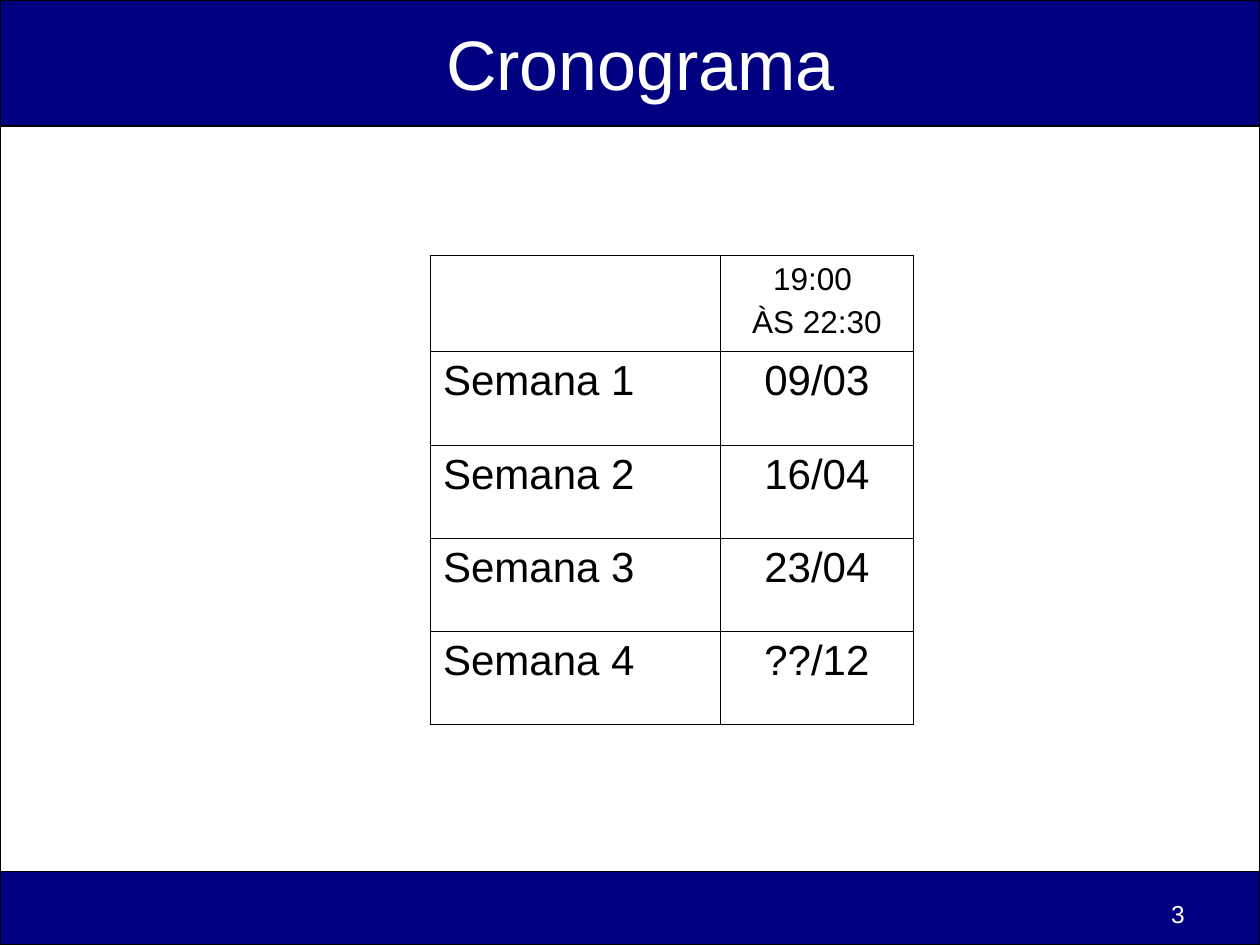
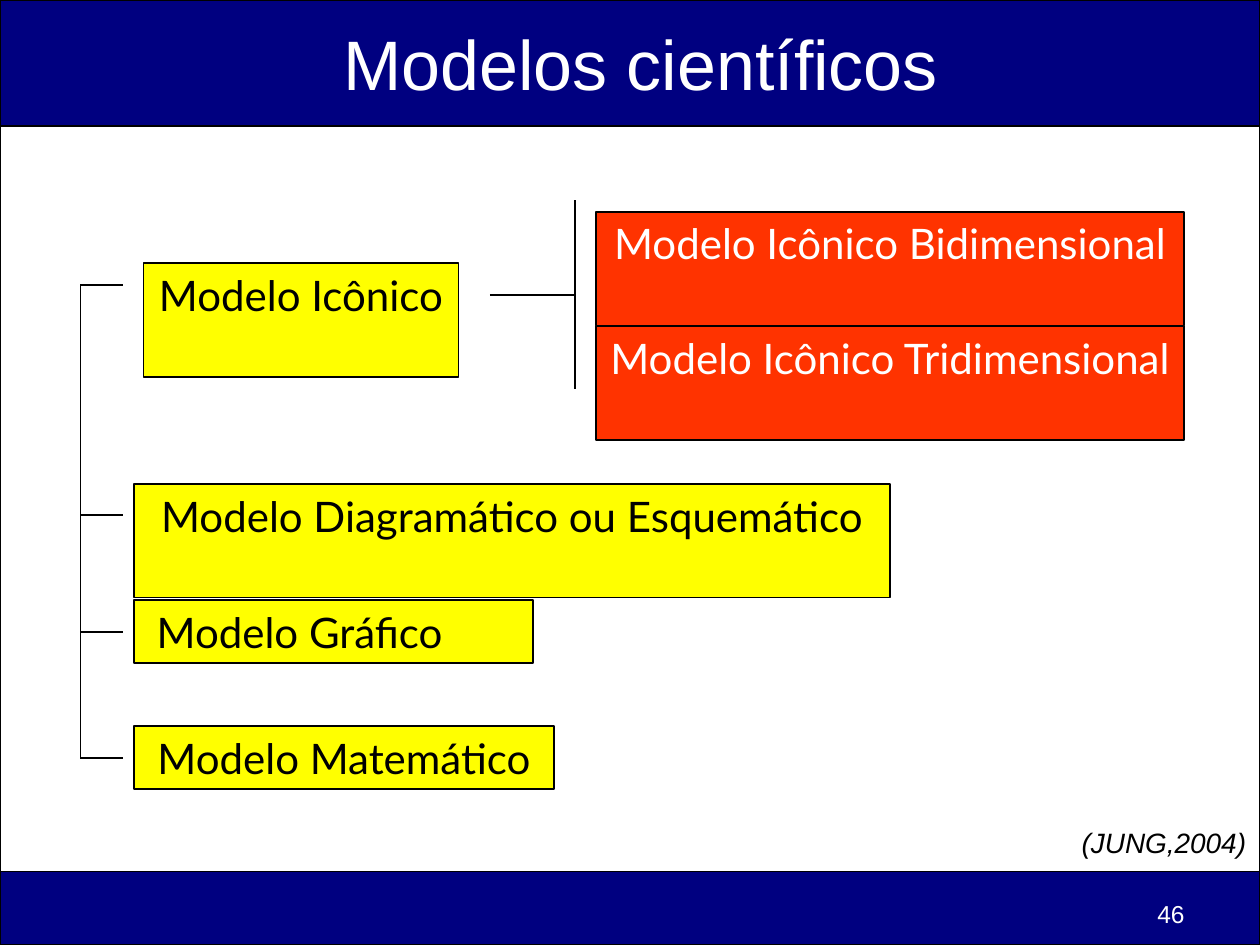
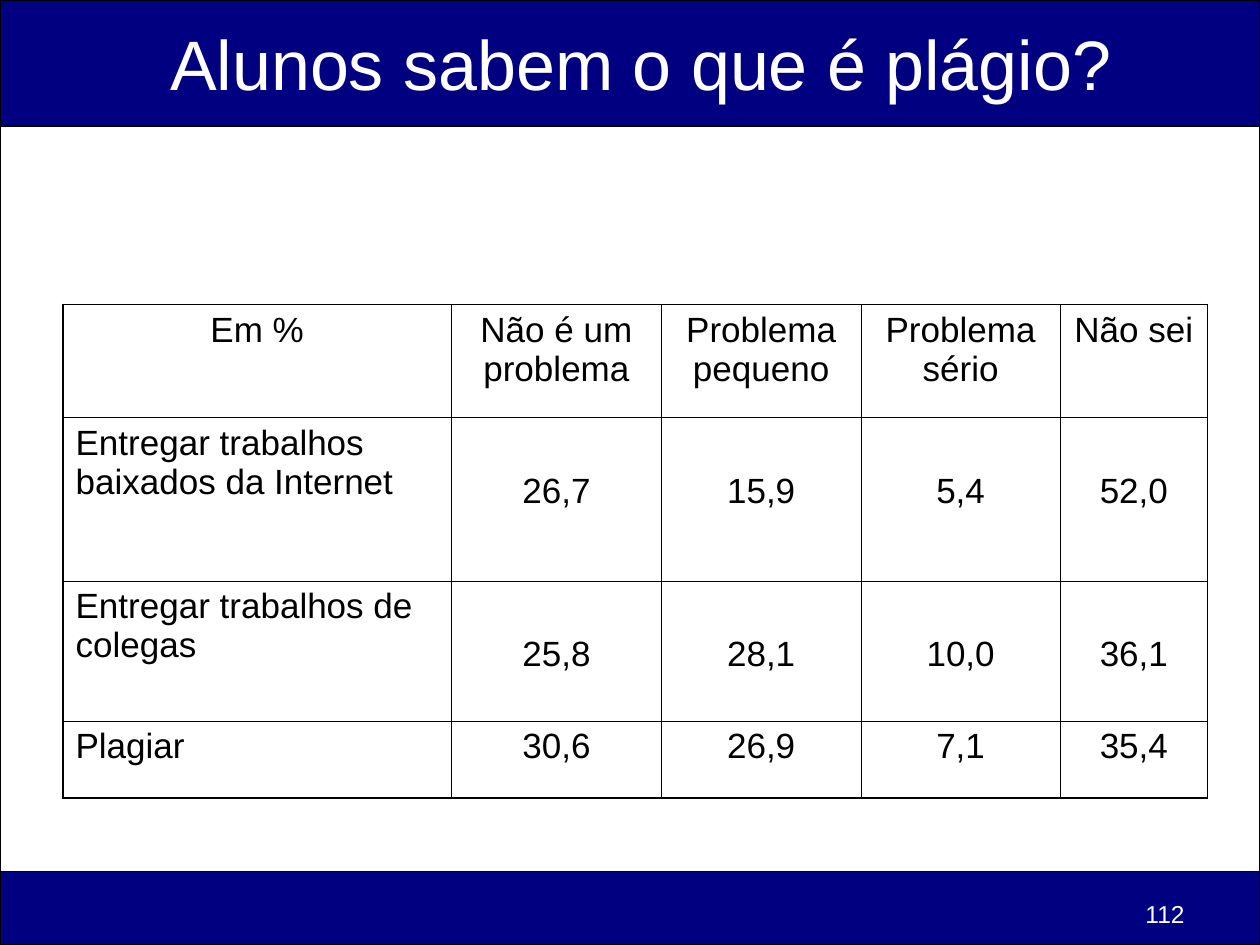
from collections import namedtuple

from lxml import etree
from pptx import Presentation
from pptx.dml.color import RGBColor
from pptx.enum.shapes import MSO_CONNECTOR, MSO_SHAPE
from pptx.enum.text import MSO_ANCHOR, MSO_AUTO_SIZE, PP_ALIGN
from pptx.oxml.ns import qn
from pptx.util import Pt

RECTANGLE = MSO_SHAPE.RECTANGLE
STRAIGHT = MSO_CONNECTOR.STRAIGHT
LEFT, CENTER, RIGHT = PP_ALIGN.LEFT, PP_ALIGN.CENTER, PP_ALIGN.RIGHT
TOP, MIDDLE = MSO_ANCHOR.TOP, MSO_ANCHOR.MIDDLE
FIT_SHAPE = MSO_AUTO_SIZE.SHAPE_TO_FIT_TEXT

COLORS = {
    "background": "E4E5FE",
    "band": "000080",
    "white": "FFFFFF",
    "black": "000000",
    "model": "FFFF00",
    "submodel": "FF3300",
}
BODY_FONT = "Arial"
DIAGRAM_FONT = "Lato"
OUTER_BORDER, INNER_BORDER = 1.08, 0.45

Box = namedtuple("Box", "left top width height")
PAGE = Box(0, 0, 720, 540)
HEADER = Box(0, 0, 720, 72)
BODY = Box(0, 72, 720, 426)
FOOTER = Box(0, 498, 720, 42)


def color(name):
    return RGBColor.from_string(COLORS[name])


def within(region, left, top, width, height):
    return Box(region.left + left, region.top + top, width, height)


def points(box):
    return [Pt(length) for length in box]


def write(frame, lines, size, tint, font=BODY_FONT, align=LEFT, italic=None, gap=0):
    for index, line in enumerate(lines):
        para = frame.add_paragraph() if index else frame.paragraphs[0]
        para.text = line
        para.alignment = align
        para.font.name = font
        para.font.size = Pt(size)
        para.font.color.rgb = color(tint)
        para.font.italic = italic
        if index:
            para.space_before = Pt(gap)


def add_rectangle(page, box, fill):
    rectangle = page.shapes.add_shape(RECTANGLE, *points(box))
    rectangle.shadow.inherit = False
    rectangle.fill.solid()
    rectangle.fill.fore_color.rgb = color(fill)
    rectangle.line.color.rgb = color("black")
    rectangle.line.width = Pt(1)
    return rectangle


def add_text(page, box, text, size, tint, align, anchor=TOP, italic=None):
    frame = page.shapes.add_textbox(*points(box)).text_frame
    frame.word_wrap = True
    frame.vertical_anchor = anchor
    write(frame, [text], size, tint, align=align, italic=italic)
    return frame


def add_line(page, region, x1, y1, x2, y2):
    ends = (region.left + x1, region.top + y1, region.left + x2, region.top + y2)
    line = page.shapes.add_connector(STRAIGHT, *points(ends))
    line.line.color.rgb = color("black")
    line.line.width = Pt(1)
    etree.SubElement(line._element.spPr, qn("a:effectLst"))


def add_page(deck, title, number):
    page = deck.slides.add_slide(deck.slide_layouts[6])
    page.background.fill.solid()
    page.background.fill.fore_color.rgb = color("background")
    for region, fill in ((BODY, "white"), (HEADER, "band"), (FOOTER, "band")):
        add_rectangle(page, region, fill)
    add_text(page, within(HEADER, 78, 0, 576, 72), title, 40, "white", CENTER, MIDDLE)
    add_text(page, within(FOOTER, 516, 12, 168, 19), str(number), 14, "white", RIGHT)
    return page


def add_border(cell, tag, width):
    properties = cell._tc.get_or_add_tcPr()
    border = etree.SubElement(properties, qn(tag), w=str(Pt(width)))
    fill = etree.SubElement(border, qn("a:solidFill"))
    etree.SubElement(fill, qn("a:srgbClr"), val=COLORS["black"])


def add_grid(page, box, widths, heights, rows, head_size, row_size):
    table = page.shapes.add_table(len(heights), len(widths), *points(box)).table
    table.first_row = table.horz_banding = False
    for column, width in zip(table.columns, widths):
        column.width = Pt(width)
    last_row, last_column = len(heights) - 1, len(widths) - 1
    for i, values in enumerate(rows):
        table.rows[i].height = Pt(heights[i])
        for j, value in enumerate(values):
            cell = table.cell(i, j)
            edges = {"a:lnL": j == 0, "a:lnR": j == last_column,
                     "a:lnT": i == 0, "a:lnB": i == last_row}
            for tag, is_outer in edges.items():
                add_border(cell, tag, OUTER_BORDER if is_outer else INNER_BORDER)
            cell.fill.background()
            if value:
                align = CENTER if i == 0 or j else LEFT
                write(cell.text_frame, value.split("\n"), row_size if i else head_size,
                      "black", align=align, gap=4.5)
    return table


def schedule_page(deck):
    page = add_page(deck, "Cronograma", 3)
    dates = ["09/03", "16/04", "23/04", "??/12"]
    rows = [("", "19:00 \nÀS 22:30")]
    rows += [(f"Semana {week}", date) for week, date in enumerate(dates, 1)]
    widths = [165.6, 110.4]
    heights = [54.7] + [53.28] * len(dates)
    box = within(BODY, 246, 74, sum(widths), sum(heights))
    add_grid(page, box, widths, heights, rows, 18, 24)


def add_model(page, region, left, top, width, height, text, fill="model",
              tint="black", align=CENTER, indent=7.2):
    model = add_rectangle(page, within(region, left, top, width, height), fill)
    frame = model.text_frame
    frame.word_wrap = True
    frame.vertical_anchor = TOP
    frame.margin_left = Pt(indent)
    write(frame, [text], 24, tint, DIAGRAM_FONT, align)


def iconic_branch(page, region):
    add_model(page, region, 0, 36, 180, 65, "Modelo Icônico")
    for index, kind in enumerate(("Bidimensional", "Tridimensional")):
        add_model(page, region, 258.5, 6.5 + 65.5 * index, 336, 65,
                  f"Modelo Icônico {kind}", "submodel", "white")
    add_line(page, region, 198, 54, 246.5, 54)
    add_line(page, region, 246.5, 0, 246.5, 108)


def model_bracket(page, region):
    stub_tops = [0, 131.5, 198, 270]
    add_line(page, region, 0, stub_tops[0], 0, stub_tops[-1])
    for top in stub_tops:
        add_line(page, region, 0, top, 24.5, top)
    add_model(page, region, 30.5, 113.5, 432, 65, "Modelo Diagramático ou Esquemático")
    add_model(page, region, 30.5, 180, 228, 36, "Modelo Gráfico", align=LEFT, indent=13)
    add_model(page, region, 30.5, 252, 240, 36, "Modelo Matemático")


def models_page(deck):
    page = add_page(deck, "Modelos científicos", 46)
    iconic_branch(page, within(BODY, 82, 42.5, 594.5, 108))
    model_bracket(page, within(BODY, 46, 91, 462.5, 288))
    citation = add_text(page, within(BODY, 611, 396, 109, 27), "(JUNG,2004)", 16,
                        "black", LEFT, italic=True)
    citation.word_wrap = False
    citation.auto_size = FIT_SHAPE


def plagiarism_page(deck):
    page = add_page(deck, "Alunos sabem o que é plágio?", 112)
    rows = [
        ("Em %", "Não é um problema", "Problema pequeno", "Problema sério", "Não sei"),
        ("Entregar trabalhos baixados da Internet", "26,7", "15,9", "5,4", "52,0"),
        ("Entregar trabalhos de colegas", "25,8", "28,1", "10,0", "36,1"),
        ("Plagiar", "30,6", "26,9", "7,1", "35,4"),
    ]
    widths = [222, 120, 114, 114, 84]
    heights = [64.6, 93.4, 80, 44]
    box = within(BODY, 36, 102, sum(widths), sum(heights))
    table = add_grid(page, box, widths, heights, rows, 20, 20)
    for row in (1, 2):
        for column in range(1, len(widths)):
            table.cell(row, column).margin_top = Pt(31)


def main():
    deck = Presentation()
    deck.slide_width, deck.slide_height = Pt(PAGE.width), Pt(PAGE.height)
    schedule_page(deck)
    models_page(deck)
    plagiarism_page(deck)
    deck.save("out.pptx")


if __name__ == "__main__":
    main()
